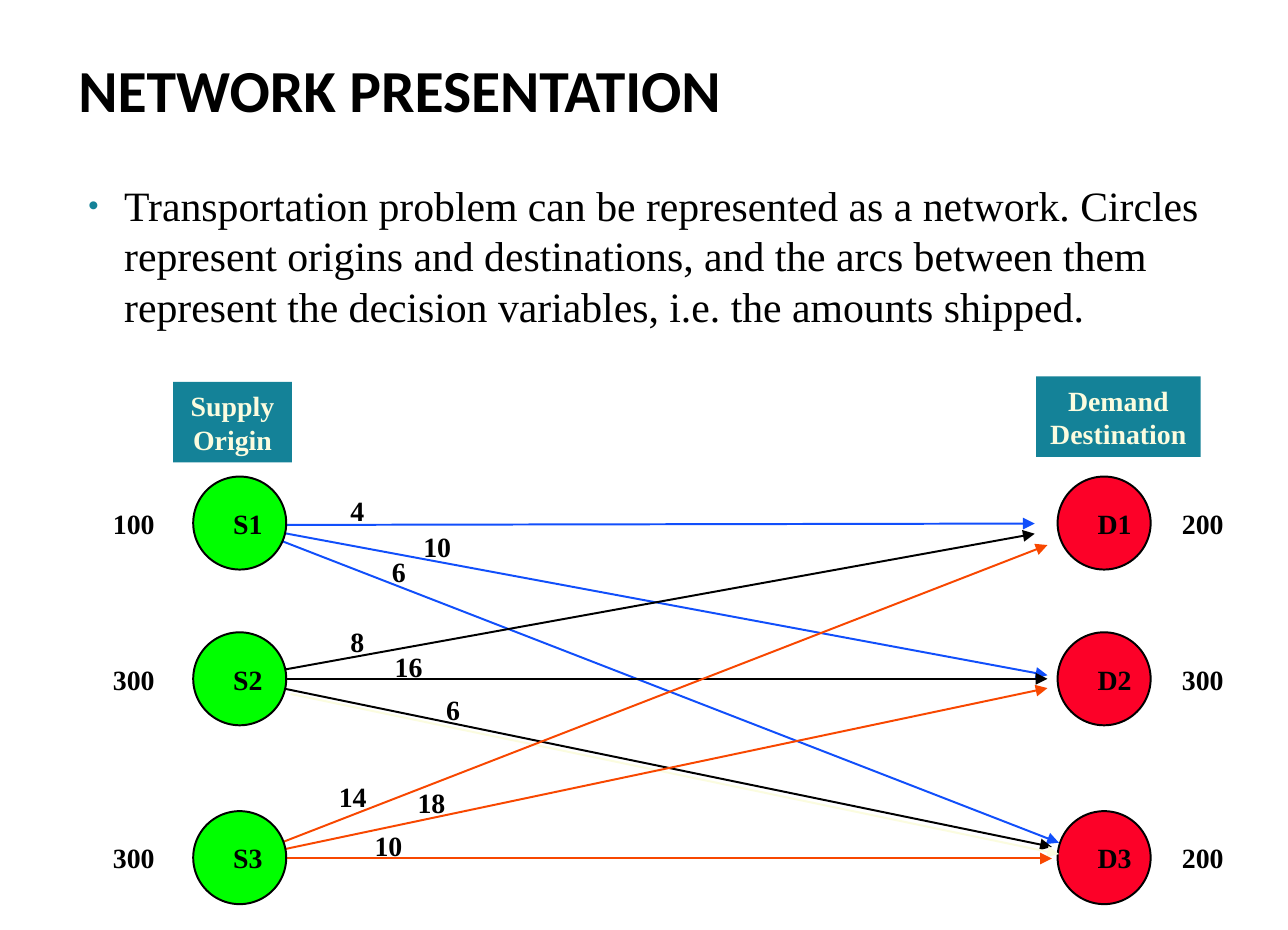
from dataclasses import dataclass

from lxml import etree
from pptx import Presentation
from pptx.dml.color import RGBColor
from pptx.enum.shapes import MSO_CONNECTOR, MSO_SHAPE
from pptx.enum.text import MSO_ANCHOR, MSO_AUTO_SIZE, PP_ALIGN
from pptx.oxml.ns import qn
from pptx.util import Pt

RECT, OVAL = MSO_SHAPE.RECTANGLE, MSO_SHAPE.OVAL
STRAIGHT = MSO_CONNECTOR.STRAIGHT
TOP, MIDDLE = MSO_ANCHOR.TOP, MSO_ANCHOR.MIDDLE
LEFT, CENTER = PP_ALIGN.LEFT, PP_ALIGN.CENTER
GROW = MSO_AUTO_SIZE.SHAPE_TO_FIT_TEXT

SERIF, SANS = "Times New Roman", "Calibri"
BLACK, CREAM, TEAL = "000000", "FBFCDF", "148298"
GREEN, RED = "00FF00", "FC0128"
BLUE, ORANGE = "114FFB", "F84700"

DIAMETER = 46.8
ROW_TOPS = (239.8, 318.2, 408.2)
LABEL_DX, LABEL_DY, LABEL_H = 13, 11.5, 24
GLYPH_WIDTHS = {"S": 7.8, "D": 10.1, " ": 3.5}
DIGIT_WIDTH = 7


@dataclass
class Column:
    x: float
    fill: str
    names: tuple[str, ...]
    amount_x: float
    amounts: tuple[str, ...]


@dataclass
class Header:
    x: float
    y: float
    w: float
    lines: tuple[str, ...]


@dataclass
class Arc:
    x1: float
    y1: float
    x2: float
    y2: float
    color: str
    cost: str = ""
    cost_x: float = 0
    cost_y: float = 0


SUPPLY = Column(97.2, GREEN, ("S1", "S2", "S3"), 49.7, ("100", "300", "300"))
DEMAND = Column(532.1, RED, ("D1 ", "D2", "D3"), 587.5, ("200", "300", "200"))
HEADERS = (
    Header(87.1, 192.2, 59.8, ("Supply ", "Origin")),
    Header(521.3, 189.4, 82.8, ("Demand", "Destination")),
)
ARCS = (
    Arc(126.7, 264.2, 520.6, 263.5, BLUE, "4", 169.2, 244.8),
    Arc(121, 264.2, 527, 339.8, BLUE, "10", 205.9, 262.8),
    Arc(121, 264.2, 532.8, 424.1, BLUE, "6", 190.1, 275.8),
    Arc(115.2, 342, 520.6, 268.6, BLACK, "8", 169.2, 311),
    Arc(115.2, 341.6, 527, 341.6, BLACK, "16", 191.5, 323.3),
    Arc(121, 342, 529.2, 426.2, BLACK),
    Arc(146.2, 349.2, 532.8, 429.8, CREAM, "6", 217.4, 344.9),
    Arc(121, 432, 527, 274.3, ORANGE, "14", 163.4, 388.8),
    Arc(121, 432, 527, 346.3, ORANGE, "18", 203, 391.7),
    Arc(121, 432, 529.2, 432, ORANGE, "10", 181.4, 413.3),
)


def rgb(color: str) -> RGBColor:
    return RGBColor.from_string(color)


def add_run(p, text: str, size: float, color: str, bold: bool, font: str = SERIF) -> None:
    r = p.add_run()
    r.text = text
    r.font.size = Pt(size)
    r.font.name = font
    r.font.bold = bold
    r.font.color.rgb = rgb(color)


def add_box(s, x: float, y: float, w: float, h: float, anchor=TOP):
    tf = s.shapes.add_textbox(Pt(x), Pt(y), Pt(w), Pt(h)).text_frame
    tf.word_wrap = True
    tf.vertical_anchor = anchor
    return tf


def add_label(s, text: str, x: float, y: float) -> None:
    width = 14.4 + sum(GLYPH_WIDTHS.get(c, DIGIT_WIDTH) for c in text)
    tf = add_box(s, x, y, width, LABEL_H)
    tf.word_wrap = False
    tf.auto_size = GROW
    add_run(tf.paragraphs[0], text, 14, BLACK, True)


def add_filled(s, kind, x: float, y: float, w: float, h: float, fill: str):
    sp = s.shapes.add_shape(kind, Pt(x), Pt(y), Pt(w), Pt(h))
    sp.shadow.inherit = False
    sp.fill.solid()
    sp.fill.fore_color.rgb = rgb(fill)
    return sp


def add_header(s, header: Header) -> None:
    sp = add_filled(s, RECT, header.x, header.y, header.w, 40.5, TEAL)
    sp.line.fill.background()
    tf = sp.text_frame
    tf.word_wrap = False
    tf.auto_size = GROW
    tf.vertical_anchor = TOP
    for i, line in enumerate(header.lines):
        p = tf.add_paragraph() if i else tf.paragraphs[0]
        p.alignment = CENTER
        add_run(p, line, 14, CREAM, True)


def add_nodes(s, column: Column) -> None:
    for name, y in zip(column.names, ROW_TOPS):
        sp = add_filled(s, OVAL, column.x, y, DIAMETER, DIAMETER, column.fill)
        sp.line.color.rgb = rgb(BLACK)
        sp.line.width = Pt(1)
        add_label(s, name, column.x + LABEL_DX, y + LABEL_DY)


def add_amounts(s, column: Column) -> None:
    for amount, y in zip(column.amounts, ROW_TOPS):
        add_label(s, amount, column.amount_x, y + LABEL_DY)


def add_arc(s, arc: Arc) -> None:
    cx = s.shapes.add_connector(STRAIGHT, Pt(arc.x1), Pt(arc.y1), Pt(arc.x2), Pt(arc.y2))
    cx.line.color.rgb = rgb(arc.color)
    cx.line.width = Pt(1)
    etree.SubElement(cx.line._get_or_add_ln(), qn("a:tailEnd"), type="triangle")
    etree.SubElement(cx._element.spPr, qn("a:effectLst"))
    if arc.cost:
        add_label(s, arc.cost, arc.cost_x, arc.cost_y)


def add_bullet(p) -> None:
    pPr = p._p.get_or_add_pPr()
    pPr.set("marL", str(Pt(18)))
    pPr.set("indent", str(-Pt(18)))
    color = etree.SubElement(pPr, qn("a:buClr"))
    etree.SubElement(color, qn("a:srgbClr"), val=TEAL)
    etree.SubElement(pPr, qn("a:buSzPct"), val="70000")
    etree.SubElement(pPr, qn("a:buFont"), typeface="Arial")
    etree.SubElement(pPr, qn("a:buChar"), char="•")


def main() -> None:
    prs = Presentation()
    prs.slide_width, prs.slide_height = Pt(648), Pt(468)
    s = prs.slides.add_slide(prs.slide_layouts[6])

    tf = add_box(s, 32.4, 20.2, 529.2, 49, MIDDLE)
    add_run(tf.paragraphs[0], "NETWORK PRESENTATION", 30, BLACK, True, SANS)

    p = add_box(s, 37.4, 87.1, 601.2, 92.9).paragraphs[0]
    p.alignment = LEFT
    add_bullet(p)
    add_run(
        p,
        "Transportation problem can be represented as a network. Circles represent "
        "origins and destinations, and the arcs between them represent the decision "
        "variables, i.e. the amounts shipped.",
        21, BLACK, False,
    )

    for header in HEADERS:
        add_header(s, header)
    add_nodes(s, DEMAND)
    for arc in ARCS:
        add_arc(s, arc)
    for column in (SUPPLY, DEMAND):
        add_amounts(s, column)
    add_nodes(s, SUPPLY)

    prs.save("out.pptx")


if __name__ == "__main__":
    main()
